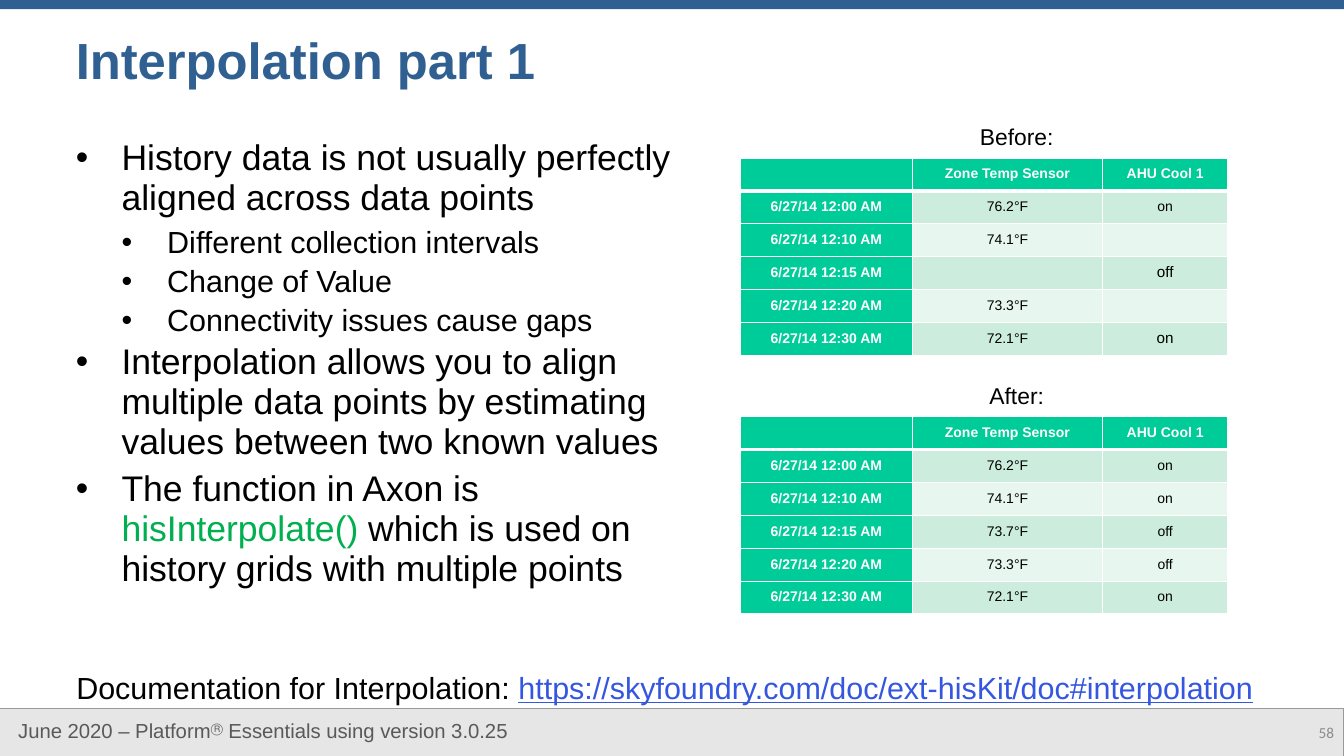
from dataclasses import dataclass

from lxml import etree
from pptx import Presentation
from pptx.dml.color import RGBColor
from pptx.enum.shapes import MSO_SHAPE
from pptx.enum.text import MSO_ANCHOR, PP_ALIGN
from pptx.oxml.ns import qn
from pptx.util import Inches, Pt

ROUNDED = MSO_SHAPE.ROUNDED_RECTANGLE
MIDDLE = MSO_ANCHOR.MIDDLE
LEFT, CENTER, RIGHT = PP_ALIGN.LEFT, PP_ALIGN.CENTER, PP_ALIGN.RIGHT


@dataclass(frozen=True)
class Theme:
    font: str = "Arial"
    number_font: str = "Calibri"
    blue: str = "306091"
    black: str = "000000"
    white: str = "FFFFFF"
    footer_fill: str = "E6E6E6"
    footer_line: str = "999999"
    footer_text: str = "595959"
    number_text: str = "8C8C8C"
    code: str = "00B050"
    link: str = "3557E0"
    header: str = "00CC99"
    bands: tuple = ("CCECDE", "E7F6EF")
    title_size: int = 40
    point_size: int = 28
    detail_size: int = 24
    label_size: int = 18
    footer_size: int = 16
    number_size: int = 12
    cell_size: int = 11
    large_cell_size: int = 12
    spacing: float = 0.93


theme = Theme()
deck = Presentation()
deck.slide_width, deck.slide_height = Inches(14.7), Inches(8.27)
slide = deck.slides.add_slide(deck.slide_layouts[6])
# The grid has 100 columns and 100 rows.
COL, ROW = deck.slide_width / 100, deck.slide_height / 100


def place(left, top, width, height):
    """Turn grid columns and rows into lengths on the slide."""
    return [round(v) for v in (left * COL, top * ROW, width * COL, height * ROW)]


def write(paragraph, parts, size, align=LEFT, bold=False, font=theme.font):
    """Fill a paragraph with (text, colour) parts and return its runs."""
    paragraph.alignment = align
    paragraph.line_spacing = theme.spacing
    for text, color in parts:
        run = paragraph.add_run()
        run.text = text
        run.font.size, run.font.bold, run.font.name = Pt(size), bold, font
        run.font.color.rgb = RGBColor.from_string(color)
    return paragraph.runs


# Bars at the top and the bottom
for area, fill, line, rounding in (
    ((0, 0, 100, 1.21), theme.blue, None, 0.02),
    ((0, 93.71, 100, 6.29), theme.footer_fill, theme.footer_line, 0),
):
    bar = slide.shapes.add_shape(ROUNDED, *place(*area))
    bar.adjustments[0] = rounding
    bar.shadow.inherit = False
    bar.fill.solid()
    bar.fill.fore_color.rgb = RGBColor.from_string(fill)
    if line:
        bar.line.color.rgb = RGBColor.from_string(line)
        bar.line.width = Pt(0.75)
    else:
        bar.line.fill.background()

# Footer
footer = slide.shapes.add_textbox(*place(0.68, 94.68, 39.12, 4.23)).text_frame
footer.word_wrap = True
footer_runs = write(
    footer.paragraphs[0],
    [(text, theme.footer_text)
     for text in ("June 2020 – Platform", "Ⓡ", " Essentials using version 3.0.25")],
    theme.footer_size,
)
footer_runs[1]._r.get_or_add_rPr().set("baseline", "30000")

page_number = slide.shapes.add_textbox(*place(77.41, 94.32, 22.52, 5.32)).text_frame
page_number.word_wrap = True
page_number.vertical_anchor = MIDDLE
write(page_number.paragraphs[0], [("58", theme.number_text)], theme.number_size,
      RIGHT, font=theme.number_font)

# Title
title = slide.shapes.add_textbox(*place(4.97, 3.99, 89.93, 8.71)).text_frame
title.word_wrap = True
write(title.paragraphs[0], [("Interpolation part 1", theme.blue)],
      theme.title_size, bold=True)

# Bulleted points: level, then text parts
points = [
    (0, [("History data is not usually perfectly aligned across data points", theme.black)]),
    (1, [("Different collection intervals", theme.black)]),
    (1, [("Change of Value", theme.black)]),
    (1, [("Connectivity issues cause gaps", theme.black)]),
    (0, [("Interpolation allows you to align multiple data points by estimating "
          "values between two known values", theme.black)]),
    (0, [("The function in Axon is ", theme.black), ("hisInterpolate() ", theme.code),
         ("which is used on history grids with multiple points", theme.black)]),
]
body = slide.shapes.add_textbox(*place(4.97, 17.78, 48.44, 71.58)).text_frame
body.word_wrap = True
for index, (level, parts) in enumerate(points):
    point = body.add_paragraph() if index else body.paragraphs[0]
    point.level = level
    properties = point._p.get_or_add_pPr()
    properties.set("marL", str(Inches(0.5 * (level + 1))))
    properties.set("indent", str(Inches(-0.5)))
    bullet_color = etree.SubElement(properties, qn("a:buClr"))
    etree.SubElement(bullet_color, qn("a:srgbClr"), val=theme.black)
    etree.SubElement(properties, qn("a:buFont"), typeface=theme.font)
    etree.SubElement(properties, qn("a:buChar"), char="•")
    point.space_after = Pt(4 if level else 6)
    write(point, parts, theme.detail_size if level else theme.point_size)

# Link to the documentation
documentation = slide.shapes.add_textbox(*place(2.38, 88.51, 93.33, 5.44)).text_frame
documentation.word_wrap = True
documentation.margin_left = documentation.margin_right = documentation.margin_bottom = 0
documentation.margin_top = Inches(0.03)
documentation.paragraphs[0]._p.get_or_add_pPr().set("marL", str(Inches(0.12)))
documentation_runs = write(
    documentation.paragraphs[0],
    [("Documentation for Interpolation: ", theme.black),
     ("https://skyfoundry.com/doc/ext-hisKit/doc#interpolation", theme.link)],
    theme.detail_size, CENTER,
)
documentation_runs[1].font.underline = True

# History tables: label, top row, temperatures, cooling states, rows with a larger state
headings = ("", "Zone Temp Sensor", "AHU Cool 1")
times = [f"6/27/14 12:{minute} AM" for minute in ("00", "10", "15", "20", "30")]
column_widths = (12.79, 14.15, 9.32)
row_height = 4.35
histories = [
    ("Before:", 20.92, ("76.2°F", "74.1°F", "", "73.3°F", "72.1°F"),
     ("on", "", "off", "", "on"), (3, 5)),
    ("After:", 55.14, ("76.2°F", "74.1°F", "73.7°F", "73.3°F", "72.1°F"),
     ("on", "on", "off", "off", "on"), ()),
]
for label, top, temperatures, states, large_rows in histories:
    caption = slide.shapes.add_textbox(*place(72.18, top - 4.95, 6.94, 4.59)).text_frame
    caption.word_wrap = False
    write(caption.paragraphs[0], [(label, theme.black)], theme.label_size, CENTER)

    records = [headings, *zip(times, temperatures, states)]
    history = slide.shapes.add_table(
        len(records), len(headings),
        *place(55.1, top, sum(column_widths), row_height * len(records))).table
    for column, width in zip(history.columns, column_widths):
        column.width = round(width * COL)
    for r, record in enumerate(records):
        history.rows[r].height = round(row_height * ROW)
        for c, value in enumerate(record):
            is_heading = r == 0 or c == 0
            cell = history.cell(r, c)
            cell.vertical_anchor = MIDDLE
            cell.margin_left = cell.margin_right = Inches(0.07)
            cell.margin_top = cell.margin_bottom = 0
            cell.fill.solid()
            cell.fill.fore_color.rgb = RGBColor.from_string(
                theme.header if is_heading else theme.bands[(r - 1) % 2])
            for position, side in enumerate(("lnL", "lnR", "lnT", "lnB")):
                under_header = (r, side) in ((0, "lnB"), (1, "lnT"))
                border = etree.Element(qn(f"a:{side}"), w=str(Pt(3 if under_header else 1)))
                border_fill = etree.SubElement(border, qn("a:solidFill"))
                etree.SubElement(border_fill, qn("a:srgbClr"), val=theme.white)
                cell._tc.get_or_add_tcPr().insert(position, border)
            if value:
                is_large = c == 2 and r in large_rows
                write(cell.text_frame.paragraphs[0],
                      [(value, theme.white if is_heading else theme.black)],
                      theme.large_cell_size if is_large else theme.cell_size,
                      CENTER, bold=is_heading)

deck.save("out.pptx")
